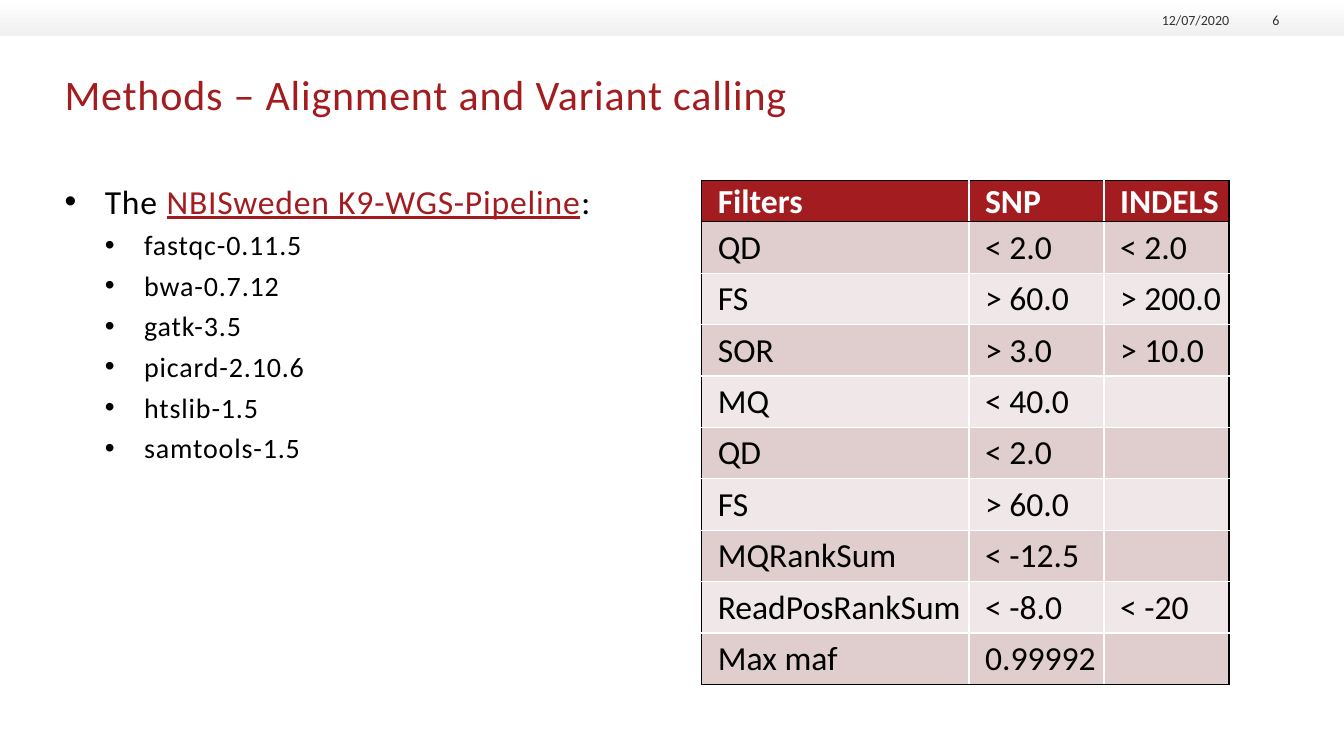
import pptx
import pptx.dml.color
import pptx.enum.shapes
import pptx.enum.text
import pptx.oxml
import pptx.oxml.ns
import pptx.util
from pptx.dml.color import RGBColor
from pptx.util import Inches

FONT = "Calibri"
RED = RGBColor(0xA3, 0x1D, 0x20)
BLACK = RGBColor(0, 0, 0)
WHITE = RGBColor(0xFF, 0xFF, 0xFF)
GREY = RGBColor(0x33, 0x33, 0x33)
BAR_END = RGBColor(0xEF, 0xF0, 0xEF)
BAND_DARK = RGBColor(0xE0, 0xCD, 0xCD)
BAND_LIGHT = RGBColor(0xF0, 0xE8, 0xE8)

ANCHOR = pptx.enum.text.MSO_ANCHOR
ALIGN = pptx.enum.text.PP_ALIGN

TOOLS = ["fastqc-0.11.5", "bwa-0.7.12", "gatk-3.5",
         "picard-2.10.6", "htslib-1.5", "samtools-1.5"]
FILTERS = [
    ("Filters", "SNP", "INDELS"),
    ("QD", "< 2.0", "< 2.0"),
    ("FS", "> 60.0", "> 200.0"),
    ("SOR", "> 3.0", "> 10.0"),
    ("MQ", "< 40.0", ""),
    ("QD", "< 2.0", ""),
    ("FS", "> 60.0", ""),
    ("MQRankSum", "< -12.5", ""),
    ("ReadPosRankSum", "< -8.0", "< -20"),
    ("Max maf", "0.99992", ""),
]
COLUMN_WIDTHS = [2.65, 1.34, 1.24]
HEADER_HEIGHT, ROW_HEIGHT = 0.41, 0.51


def add_run(p, text, size, color, spacing=0, bold=False, underline=False):
    r = p.add_run()
    r.text = text
    r.font.name = FONT
    r.font.size = pptx.util.Pt(size)
    r.font.color.rgb = color
    r.font.bold = bold
    r.font.underline = underline
    if spacing:
        r._r.get_or_add_rPr().set("spc", str(round(spacing * 100)))


def add_textbox(s, left, top, width, height, anchor=ANCHOR.TOP):
    box = s.shapes.add_textbox(Inches(left), Inches(top), Inches(width), Inches(height))
    tf = box.text_frame
    tf.word_wrap = True
    tf.vertical_anchor = anchor
    tf.margin_left = tf.margin_right = tf.margin_top = tf.margin_bottom = 0
    return tf


def set_bullet(p, left, hanging):
    pPr = p._p.get_or_add_pPr()
    pPr.set("marL", str(Inches(left)))
    pPr.set("indent", str(-Inches(hanging)))
    ns = pptx.oxml.ns.nsdecls("a")
    pPr.append(pptx.oxml.parse_xml(f'<a:buFont {ns} typeface="Arial"/>'))
    pPr.append(pptx.oxml.parse_xml(f'<a:buChar {ns} char="•"/>'))


def set_borders(cell, colors):
    tcPr = cell._tc.get_or_add_tcPr()
    for side, color in zip("LRTB", colors):
        tcPr.append(pptx.oxml.parse_xml(
            f'<a:ln{side} {pptx.oxml.ns.nsdecls("a")} w="12700"><a:solidFill>'
            f'<a:srgbClr val="{color}"/></a:solidFill></a:ln{side}>'))


def add_top_bar(s):
    sp = s.shapes.add_shape(pptx.enum.shapes.MSO_SHAPE.RECTANGLE,
                            0, 0, Inches(13.33), Inches(0.36))
    sp.shadow.inherit = False
    sp.line.fill.background()
    sp.fill.gradient()
    sp.fill.gradient_angle = 270
    for stop, color, position in zip(sp.fill.gradient_stops, (WHITE, BAR_END), (0, 1)):
        stop.color.rgb = color
        stop.position = position


def add_header_label(s, left, width, text):
    p = add_textbox(s, left, 0.09, width, 0.19, ANCHOR.BOTTOM).paragraphs[0]
    p.alignment = ALIGN.RIGHT
    add_run(p, text, 10, GREY)


def add_pipeline_list(s):
    tf = add_textbox(s, 0.64, 1.79, 5.86, 5.11)
    p = tf.paragraphs[0]
    set_bullet(p, 0.4, 0.4)
    add_run(p, "The ", 24, BLACK, 0.6)
    add_run(p, "NBISweden K9-WGS-Pipeline", 24, RED, 0.6, underline=True)
    add_run(p, ":", 24, BLACK, 0.6)
    for tool in TOOLS:
        p = tf.add_paragraph()
        p.level = 1
        p.space_before = pptx.util.Pt(5)
        set_bullet(p, 0.79, 0.39)
        add_run(p, tool, 20, BLACK, 0.6)


def fill_cell(cell, text, row, col):
    header = row == 0
    last_row, last_col = len(FILTERS) - 1, len(COLUMN_WIDTHS) - 1
    black_sides = (col == 0, col == last_col, row <= 1, row in (0, last_row))
    set_borders(cell, [BLACK if black else WHITE for black in black_sides])
    cell.fill.solid()
    cell.fill.fore_color.rgb = RED if header else BAND_DARK if row % 2 else BAND_LIGHT
    cell.vertical_anchor = ANCHOR.BOTTOM if header else ANCHOR.MIDDLE
    cell.margin_left = Inches(0.16)
    cell.margin_right = cell.margin_top = Inches(0.01)
    cell.margin_bottom = 0
    if text:
        add_run(cell.text_frame.paragraphs[0], text, 24,
                WHITE if header else BLACK, bold=header)


def add_filter_table(s):
    heights = [HEADER_HEIGHT] + [ROW_HEIGHT] * (len(FILTERS) - 1)
    table = s.shapes.add_table(
        len(FILTERS), len(COLUMN_WIDTHS), Inches(6.96), Inches(1.79),
        Inches(sum(COLUMN_WIDTHS)), Inches(sum(heights))).table
    table.horz_banding = False
    for column, width in zip(table.columns, COLUMN_WIDTHS):
        column.width = Inches(width)
    for row, (values, height) in enumerate(zip(FILTERS, heights)):
        table.rows[row].height = Inches(height)
        for col, text in enumerate(values):
            fill_cell(table.cell(row, col), text, row, col)


def main():
    prs = pptx.Presentation()
    prs.slide_width, prs.slide_height = Inches(13.33), Inches(7.5)
    s = prs.slides.add_slide(prs.slide_layouts[6])

    # Top bar with date and slide number
    add_top_bar(s)
    add_header_label(s, 11.3, 0.89, "12/07/2020")
    add_header_label(s, 12.27, 0.42, "6")

    # Title
    title = add_textbox(s, 0.64, 0.68, 12.04, 0.95)
    add_run(title.paragraphs[0], "Methods – Alignment and Variant calling", 30, RED, 0.6)

    # Pipeline tools and variant filters
    add_pipeline_list(s)
    add_filter_table(s)

    prs.save("out.pptx")


if __name__ == "__main__":
    main()
